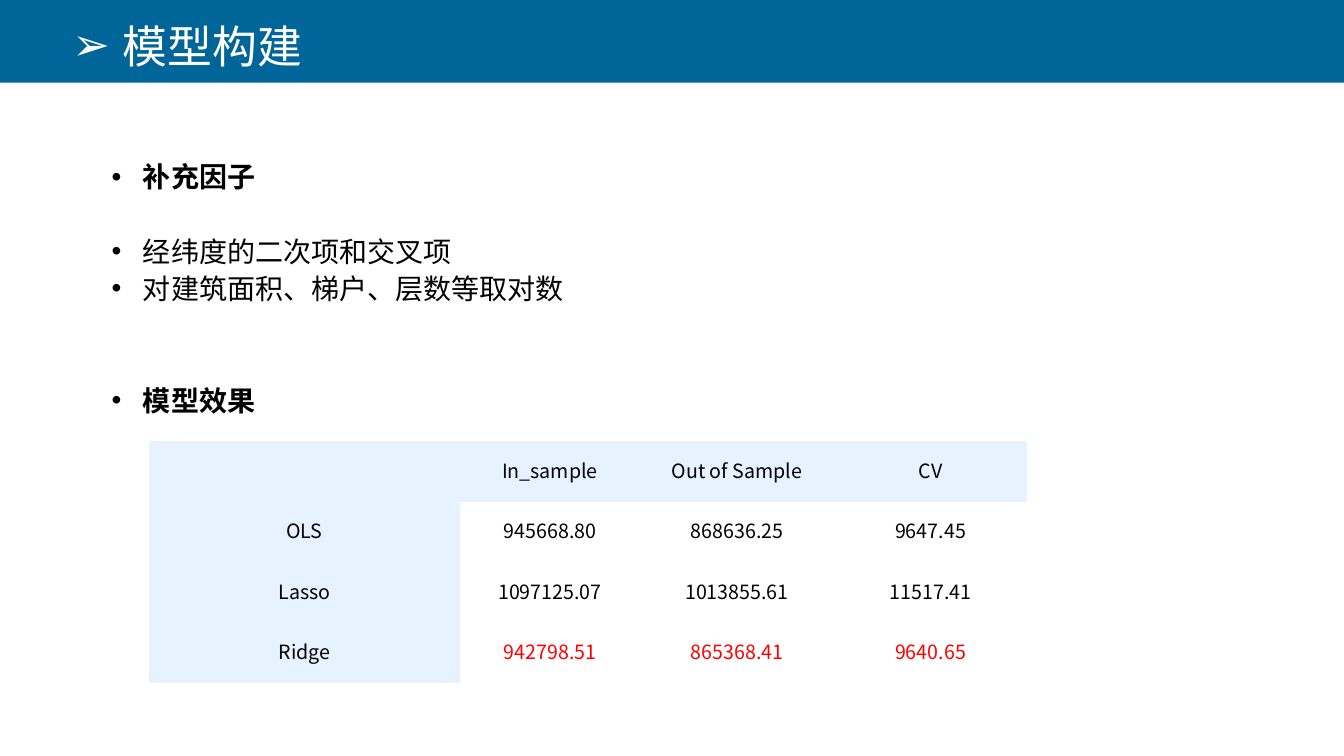
from lxml import etree
from pptx import Presentation
from pptx.dml.color import RGBColor
from pptx.enum.shapes import MSO_SHAPE
from pptx.enum.text import MSO_ANCHOR, PP_ALIGN
from pptx.oxml.ns import qn
from pptx.util import Inches, Pt

FONT = "Noto Sans CJK SC"
COLORS = {
    "banner": "006599",
    "header": "E6F2FF",
    "title": "FFFFFF",
    "text": "000000",
    "best": "FF0000",
}
NO_STYLE_NO_GRID = "{2D5ABB26-0587-4C30-8999-92F81FD0307C}"
LINE_HEIGHT = 26.6

# Text, bold, blank lines above
POINTS = [
    ("补充因子", True, 0),
    ("经纬度的二次项和交叉项", False, 1),
    ("对建筑面积、梯户、层数等取对数", False, 0),
    ("模型效果", True, 2),
]
COLUMN_WIDTHS = [3.08, 1.79, 1.92, 1.92]
RESULTS = [
    ["", "In_sample", "Out of Sample", "CV"],
    ["OLS", "945668.80", "868636.25", "9647.45"],
    ["Lasso", "1097125.07", "1013855.61", "11517.41"],
    ["Ridge", "942798.51", "865368.41", "9640.65"],
]


def color(name):
    return RGBColor.from_string(COLORS[name])


def format_runs(paragraph, size, color_name, bold=False):
    for run in paragraph.runs:
        run.font.name = FONT
        run.font.size = Pt(size)
        run.font.bold = bold
        run.font.color.rgb = color(color_name)
        east_asian = etree.SubElement(run.font._element, qn("a:ea"))
        east_asian.set("typeface", FONT)


def add_bullet(paragraph, character, indent):
    properties = paragraph._p.get_or_add_pPr()
    properties.set("marL", str(Inches(indent)))
    properties.set("indent", str(-Inches(indent)))
    bullet_font = etree.SubElement(properties, qn("a:buFont"))
    bullet_font.set("typeface", "Arial")
    bullet = etree.SubElement(properties, qn("a:buChar"))
    bullet.set("char", character)


def add_text_frame(slide, left, top, width, height):
    box = slide.shapes.add_textbox(
        Inches(left), Inches(top), Inches(width), Inches(height))
    box.text_frame.word_wrap = True
    return box.text_frame


def add_banner(slide, width):
    banner = slide.shapes.add_shape(
        MSO_SHAPE.RECTANGLE, 0, 0, width, Inches(0.82))
    banner.shadow.inherit = False
    banner.fill.solid()
    banner.fill.fore_color.rgb = color("banner")
    banner.line.fill.background()


def add_title(slide, text):
    text_frame = add_text_frame(slide, 0.62, 0.13, 6.22, 0.64)
    text_frame.margin_top = text_frame.margin_bottom = 0
    text_frame.vertical_anchor = MSO_ANCHOR.MIDDLE
    text_frame.text = text
    paragraph = text_frame.paragraphs[0]
    format_runs(paragraph, 32, "title")
    add_bullet(paragraph, "➢", 0.5)


def add_points(slide, points):
    text_frame = add_text_frame(slide, 1.01, 1.22, 11.02, 5.29)
    text_frame.margin_top = Inches(0.33)
    for index, (text, bold, blank_lines) in enumerate(points):
        paragraph = (text_frame.add_paragraph() if index
                     else text_frame.paragraphs[0])
        paragraph.text = text
        paragraph.line_spacing = Pt(LINE_HEIGHT)
        paragraph.space_before = Pt(LINE_HEIGHT * blank_lines)
        format_runs(paragraph, 20, "text", bold)
        add_bullet(paragraph, "•", 0.31)


def fill_cell(cell, text, is_header, color_name):
    if is_header:
        cell.fill.solid()
        cell.fill.fore_color.rgb = color("header")
    else:
        cell.fill.background()
    cell.margin_left = cell.margin_right = cell.margin_top = Inches(0.01)
    cell.margin_bottom = Inches(0.05)
    cell.vertical_anchor = MSO_ANCHOR.MIDDLE
    cell.text_frame.text = text
    paragraph = cell.text_frame.paragraphs[0]
    paragraph.alignment = PP_ALIGN.CENTER
    format_runs(paragraph, 14, color_name)


def add_results_table(slide, rows):
    frame = slide.shapes.add_table(
        len(rows), len(COLUMN_WIDTHS), Inches(1.48), Inches(4.38),
        Inches(sum(COLUMN_WIDTHS)), Inches(0.6 * len(rows)))
    table = frame.table
    table.first_row = table.horz_banding = False
    table._tbl.tblPr.find(qn("a:tableStyleId")).text = NO_STYLE_NO_GRID
    for column, width in zip(table.columns, COLUMN_WIDTHS):
        column.width = Inches(width)
    for row, values in enumerate(rows):
        for column, value in enumerate(values):
            is_header = row == 0 or column == 0
            is_best = values[0] == "Ridge" and not is_header
            fill_cell(table.cell(row, column), value, is_header,
                      "best" if is_best else "text")


def main():
    presentation = Presentation()
    presentation.slide_width = Inches(13.33)
    presentation.slide_height = Inches(7.5)
    slide = presentation.slides.add_slide(presentation.slide_layouts[6])

    # Heading
    add_banner(slide, presentation.slide_width)
    add_title(slide, "模型构建")

    # Factors and model results
    add_results_table(slide, RESULTS)
    add_points(slide, POINTS)

    presentation.save("out.pptx")


if __name__ == "__main__":
    main()
